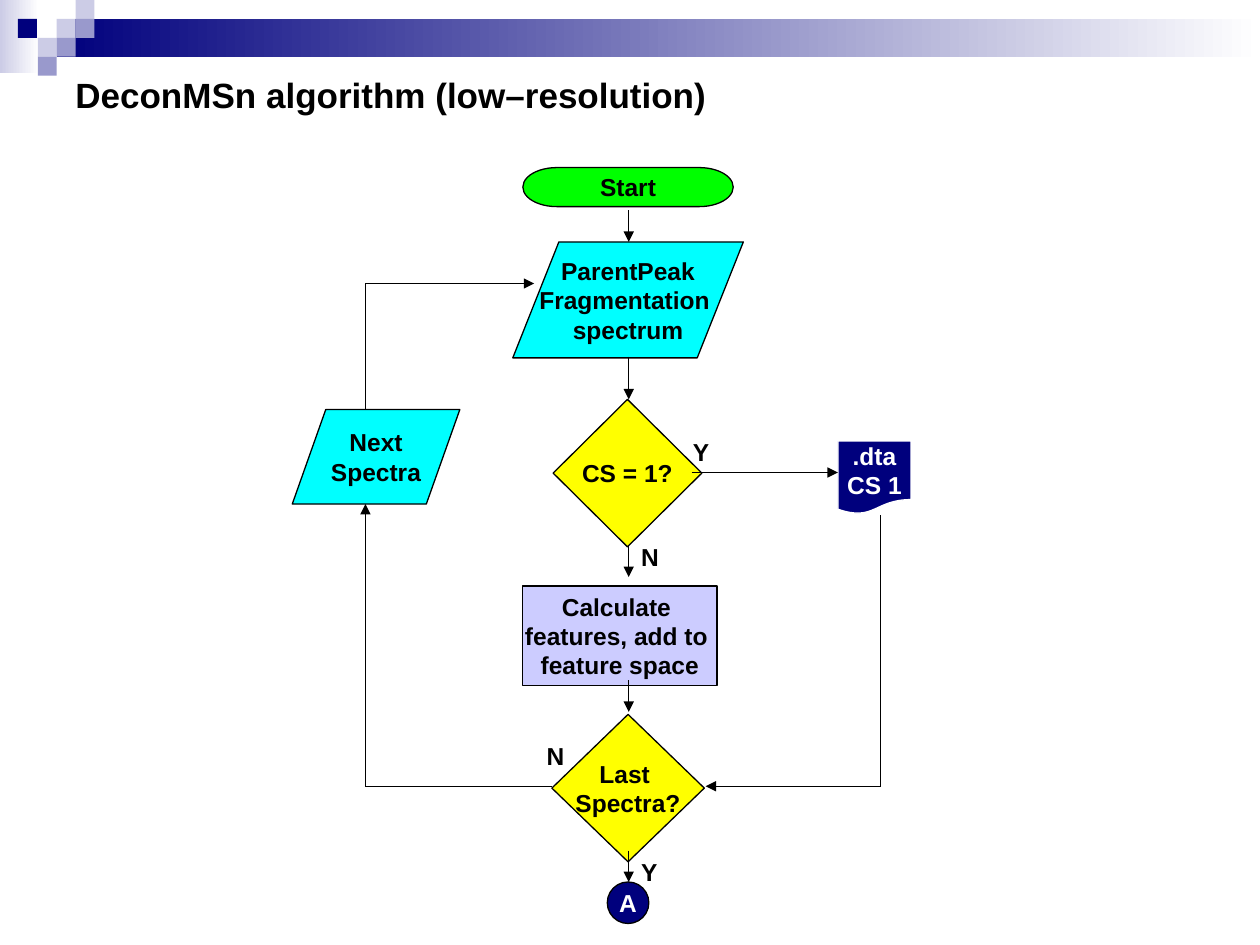
from dataclasses import dataclass
from lxml import etree
from pptx import Presentation
from pptx.dml.color import RGBColor
from pptx.enum.shapes import MSO_CONNECTOR as Conn, MSO_SHAPE as Kind
from pptx.enum.text import MSO_ANCHOR as Anchor, MSO_AUTO_SIZE as Fit, PP_ALIGN as Align
from pptx.oxml.ns import qn
from pptx.util import Inches, Pt


@dataclass(frozen=True)
class Theme:
    font: str = "Arial"
    head: int = 20
    body: int = 14
    gap: float = 8.8
    line: float = 0.74
    black: str = "000000"
    white: str = "FFFFFF"
    navy: str = "00007D"
    mist: str = "CCCCE6"
    haze: str = "9999CC"
    cyan: str = "00FFFF"
    green: str = "00FF00"
    yellow: str = "FFFF00"
    lilac: str = "CCCCFF"


T = Theme()
MID, LEFT, RIGHT, LOW = 4.99, 2.9, 6.99, 6.24
TILE = 0.15

TITLE = "DeconMSn algorithm (low–resolution) "
BANDS = [
    ((0, 0, 0.31, 0.58), T.mist),
    ((0.45, 0.15, 9.55, 0.3), T.navy),
]
TILES = [
    (3, 1, T.mist), (4, 0, T.mist), (4, 1, T.haze), (2, 2, T.mist),
    (0.95, 1, T.navy), (3, 2, T.haze), (2, 3, T.haze),
]
NODES = [
    (Kind.FLOWCHART_DATA, (4.07, 1.92, 1.83, 0.92), T.cyan, T.black, T.black,
     "ParentPeak\nFragmentation \nspectrum"),
    (Kind.FLOWCHART_TERMINATOR, (4.15, 1.33, 1.67, 0.31), T.green, T.black, T.black, "Start"),
    (Kind.FLOWCHART_DECISION, (4.39, 3.17, 1.18, 1.17), T.yellow, T.black, T.black, "CS = 1?"),
    (Kind.FLOWCHART_DOCUMENT, (6.65, 3.5, 0.58, 0.58), T.navy, T.white, T.white, ".dta\nCS 1"),
    (Kind.FLOWCHART_PROCESS, (4.15, 4.65, 1.54, 0.79), T.lilac, T.black, T.black,
     "Calculate \nfeatures, add to \nfeature space"),
    (Kind.FLOWCHART_DECISION, (4.38, 5.67, 1.21, 1.17), T.yellow, T.black, T.black,
     "Last \nSpectra?"),
    (Kind.FLOWCHART_DATA, (2.32, 3.25, 1.33, 0.75), T.cyan, T.black, T.black, "Next\nSpectra"),
    (Kind.FLOWCHART_CONNECTOR, (4.82, 7, 0.33, 0.33), T.navy, T.black, T.white, "A"),
]
DROPS = [(1.67, 1.92), (2.83, 3.17), (4.33, 4.58), (5.4, 5.65), (6.75, 7)]
LINKS = [((MID, top), (MID, end), True) for top, end in DROPS] + [
    ((5.49, 3.75), (6.65, 3.75), True),
    ((RIGHT, 4.09), (RIGHT, LOW), False),
    ((RIGHT, LOW), (5.6, LOW), True),
    ((4.38, LOW), (LEFT, LOW), False),
    ((LEFT, LOW), (LEFT, 4), True),
    ((LEFT, 3.25), (LEFT, 2.25), False),
    ((LEFT, 2.25), (4.24, 2.25), True),
]
LABELS = [
    ("Y", (5.4, 3.42, 0.33, 0.34)),
    ("N", (4.24, 5.83, 0.33, 0.34)),
    ("N", (MID, 4.25, 0.25, 0.34)),
    ("Y", (MID, 6.75, 0.33, 0.34)),
]


def rgb(code):
    return RGBColor.from_string(code)


def place(box):
    return [Inches(side) for side in box]


def write(frame, text, size, color, align, gap=0):
    frame.text = text
    for para in frame.paragraphs:
        para.alignment = align
        para.space_before = Pt(gap)
        for run in para.runs:
            font = run.font
            font.name, font.size, font.bold = T.font, Pt(size), True
            font.color.rgb = rgb(color)


def shape(kind, box, fill=None, line=None):
    item = slide.shapes.add_shape(kind, *place(box))
    item.shadow.inherit = False
    if fill:
        item.fill.solid()
        item.fill.fore_color.rgb = rgb(fill)
    if line:
        item.line.color.rgb = rgb(line)
        item.line.width = Pt(T.line)
    else:
        item.line.fill.background()
    return item


def band(box, color):
    fill = shape(Kind.RECTANGLE, box).fill
    fill.gradient()
    fill.gradient_angle = 180
    for stop, code in zip(fill.gradient_stops, (T.white, color)):
        stop.color.rgb = rgb(code)


def node(kind, box, fill, line, ink, text):
    frame = shape(kind, box, fill, line).text_frame
    frame.word_wrap = False
    frame.vertical_anchor = Anchor.MIDDLE
    write(frame, text, T.body, ink, Align.CENTER)


def link(start, end, arrow):
    item = slide.shapes.add_connector(Conn.STRAIGHT, *place(start + end))
    item.line.color.rgb = rgb(T.black)
    item.line.width = Pt(T.line)
    props = item._element.spPr
    if arrow:
        etree.SubElement(props.find(qn("a:ln")), qn("a:tailEnd"), type="triangle")
    etree.SubElement(props, qn("a:effectLst"))


def label(text, box, size=T.body, gap=T.gap, anchor=Anchor.TOP, fit=Fit.SHAPE_TO_FIT_TEXT):
    frame = slide.shapes.add_textbox(*place(box)).text_frame
    frame.word_wrap = True
    frame.auto_size = fit
    frame.vertical_anchor = anchor
    write(frame, text, size, T.black, Align.LEFT, gap)


deck = Presentation()
deck.slide_width, deck.slide_height = Inches(10), Inches(7.5)
slide = deck.slides.add_slide(deck.slide_layouts[6])

for args in BANDS:
    band(*args)
for col, row, color in TILES:
    shape(Kind.RECTANGLE, (col * TILE, row * TILE, TILE, TILE), color)
label(TITLE, (0.5, 0.5, 9, 0.5), T.head, 0, Anchor.MIDDLE, Fit.NONE)
for args in NODES:
    node(*args)
for args in LINKS:
    link(*args)
for args in LABELS:
    label(*args)

deck.save("out.pptx")
